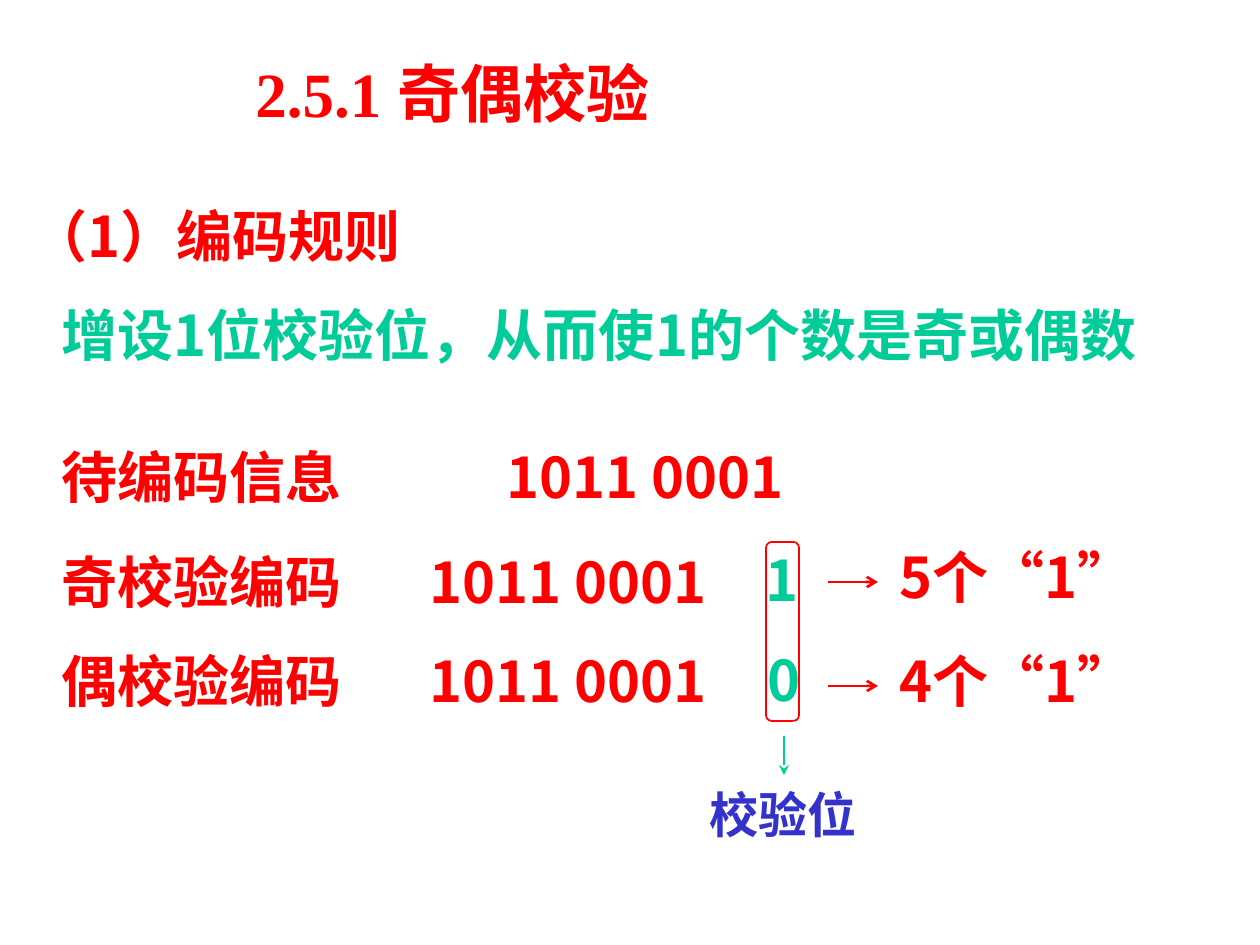
from lxml.etree import SubElement
from pptx import Presentation
from pptx.dml.color import RGBColor
from pptx.enum.lang import MSO_LANGUAGE_ID
from pptx.enum.shapes import MSO_CONNECTOR, MSO_SHAPE
from pptx.enum.text import PP_ALIGN
from pptx.oxml.ns import qn
from pptx.util import Pt

COLORS = {"red": "FF0000", "green": "00CC99", "blue": "3333CC"}
SANS, SERIF = "Noto Sans CJK SC", "Times New Roman"


def px(n):
    """Turn pixels into EMU."""
    return round(n * 914400 / 126)


def color(name):
    """Look up a named colour."""
    return RGBColor.from_string(COLORS[name])


def add_run(p, text, size=32, fill="red", font=SANS):
    """Add a bold run with Latin and East Asian fonts."""
    r = p.add_run()
    r.text = text
    f = r.font
    f.size, f.bold, f.name = Pt(size), True, font
    f.color.rgb = color(fill)
    f.language_id = MSO_LANGUAGE_ID.SIMPLIFIED_CHINESE
    SubElement(r._r.get_or_add_rPr(), qn("a:ea"), typeface=SANS)


def add_text(s, box, text, center=False, spacing=None, tab=None, wrap=True, **fmt):
    """Add a one-paragraph text box and return its paragraph."""
    tf = s.shapes.add_textbox(*map(px, box)).text_frame
    tf.word_wrap = wrap
    p = tf.paragraphs[0]
    if center:
        p.alignment = PP_ALIGN.CENTER
    if spacing:
        p.line_spacing = spacing
    if tab:
        tabs = SubElement(p._p.get_or_add_pPr(), qn("a:tabLst"))
        SubElement(tabs, qn("a:tab"), pos=str(px(tab)), algn="l")
    add_run(p, text, **fmt)
    return p


def add_arrow(s, x1, y1, x2, y2, fill, head):
    """Add a straight arrow."""
    c = s.shapes.add_connector(MSO_CONNECTOR.STRAIGHT, *map(px, (x1, y1, x2, y2)))
    c.line.color.rgb = color(fill)
    c.line.width = Pt(1.5)
    SubElement(c.line._get_or_add_ln(), qn("a:tailEnd"), type=head)
    SubElement(c._element.spPr, qn("a:effectLst"))


def add_heading(s, x, y):
    """Place the title, the rule's heading and its statement."""
    p = add_text(s, (x + 194, y, 586, 88), "2.5.1 奇偶", size=36, font=SERIF)
    add_run(p, "校验", size=36)
    add_text(s, (x - 30, y + 147, 483, 81), "（1）编码规则")
    add_text(s, (x, y + 246, 1167, 81), "增设1位校验位，从而使1的个数是奇或偶数", fill="green")


def add_codes(s, x, y):
    """Place the information row and the two coded rows."""
    rows = [("待编码信息", 0, 819, 445), ("奇校验编码", 105, 740, 368),
            ("偶校验编码", 204, 760, 368)]
    for label, dy, width, tab in rows:
        add_text(s, (x, y + dy, width, 147), label + "\t1011 0001", tab=tab)


def add_check_bits(s, x, y):
    """Place the framed check bits with their caption."""
    add_text(s, (x - 18, y + 10, 69, 67), "1", center=True, spacing=0.8, fill="green")
    add_text(s, (x - 11, y + 97, 59, 81), "0", wrap=False, fill="green")
    frame = s.shapes.add_shape(MSO_SHAPE.ROUNDED_RECTANGLE, *map(px, (x, y, 33, 179)))
    frame.adjustments[0] = 0.17
    frame.shadow.inherit = False
    frame.fill.background()
    frame.line.color.rgb = color("red")
    frame.line.width = Pt(1)
    add_arrow(s, x + 18, y + 194, x + 18, y + 233, "green", "stealth")
    add_text(s, (x - 92, y + 248, 218, 60), "校验位", center=True, spacing=0.8,
             size=28, fill="blue")


def add_counts(s, x, y):
    """Place an arrow and the number of ones for each coded row."""
    for i, count in enumerate((5, 4)):
        top = y + i * 104
        add_arrow(s, x, top + 33, x + 50, top + 33, "red", "arrow")
        add_text(s, (x + 50, top, 277, 121), f"{count}个“1”", center=True, spacing=0.8)


def main():
    """Build the slide and save it."""
    prs = Presentation()
    prs.slide_width, prs.slide_height = px(1260), px(945)
    s = prs.slides.add_slide(prs.slide_layouts[6])
    add_heading(s, 49, 48)
    add_codes(s, 49, 436)
    add_check_bits(s, 766, 542)
    add_counts(s, 828, 549)
    prs.save("out.pptx")


if __name__ == "__main__":
    main()
